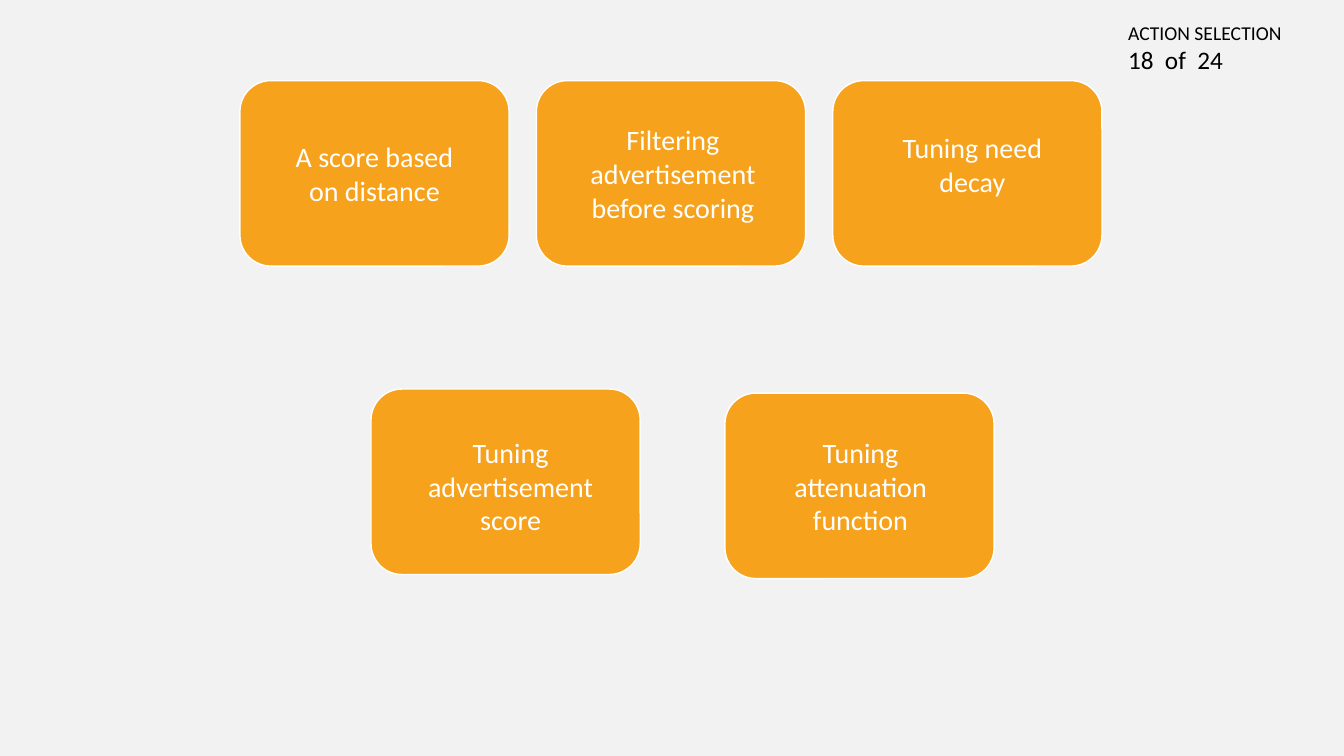
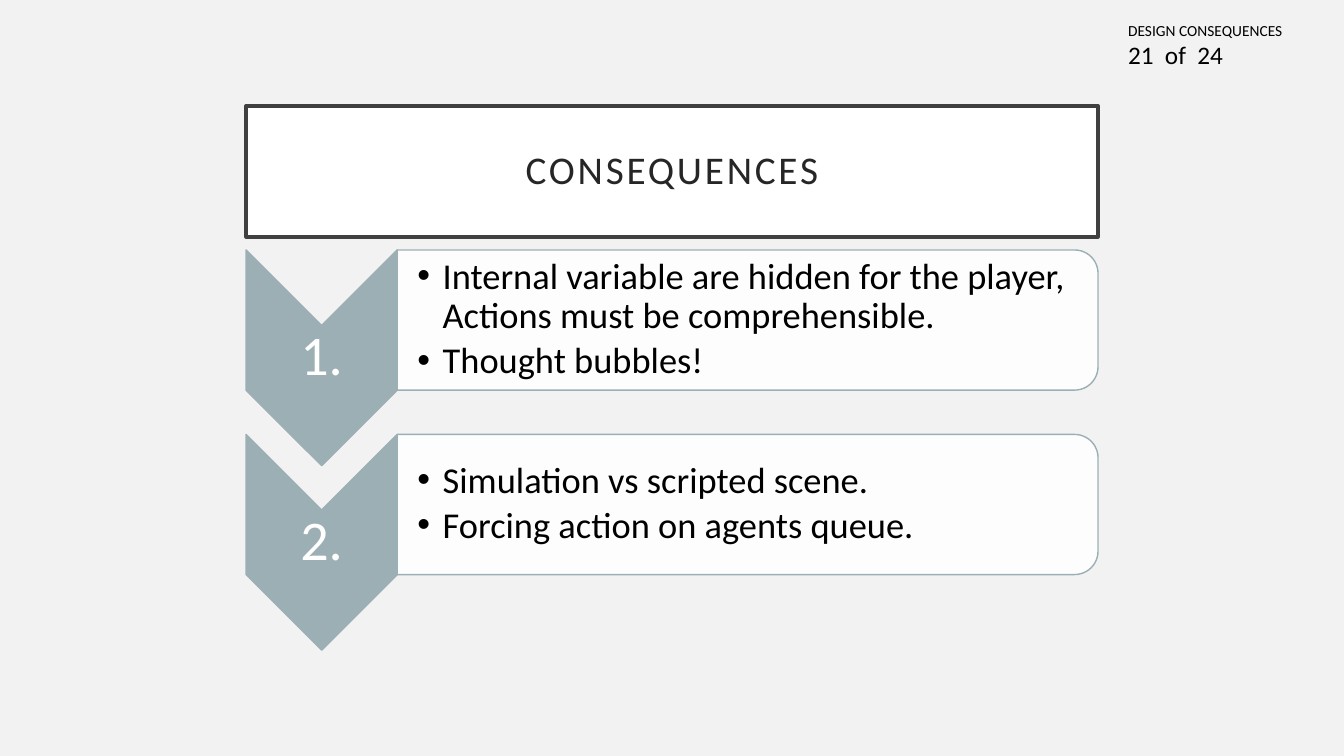
from lxml.etree import SubElement
from pptx import Presentation
from pptx.dml.color import RGBColor
from pptx.enum.shapes import MSO_SHAPE as Shape
from pptx.enum.text import MSO_ANCHOR as Anchor, MSO_AUTO_SIZE as AutoSize, PP_ALIGN as Align
from pptx.oxml.ns import qn
from pptx.util import Inches, Pt

FONT = "Calibri"
BACKGROUND = RGBColor(0xF2, 0xF2, 0xF2)
WHITE = RGBColor(0xFF, 0xFF, 0xFF)
BLACK = RGBColor(0, 0, 0)
ORANGE = RGBColor(0xF6, 0xA2, 0x1D)
SAGE = RGBColor(0x9B, 0xAF, 0xB5)
BORDER = RGBColor(0x40, 0x40, 0x40)
TITLE_INK = RGBColor(0x26, 0x26, 0x26)

SLIDE_COUNT = 24
CARD_W, CARD_H = 2.67, 1.84
CARD_LEFT, CARD_TOP, CARD_PITCH = 2.38, 0.8, 2.94
# text, left, top, shift of the text from the card's centre (x, y)
CARDS = [
    ("A score based on distance", CARD_LEFT, CARD_TOP, 0, 0),
    ("Filtering advertisement before scoring", CARD_LEFT + CARD_PITCH, CARD_TOP, 0.02, 0),
    ("Tuning need decay", CARD_LEFT + 2 * CARD_PITCH, CARD_TOP, 0.05, -0.09),
    ("Tuning advertisement score", 3.68, 3.86, 0.05, 0.04),
    ("Tuning attenuation function", 7.19, 3.9, 0.01, 0),
]

TITLE = "CONSEQUENCES"
STEPS = [
    ("1.", ["Internal variable are hidden for the player, Actions must be comprehensible.",
            "Thought bubbles!"]),
    ("2.", ["Simulation vs scripted scene.", "Forcing action on agents queue."]),
]
LEFT, WIDTH = 2.44, 8.45
STEP_TOP, STEP_PITCH = 2.48, 1.83
CHEVRON_W, CHEVRON_H, PANEL_H = 1.5, 2.14, 1.39


def style(p, size, color, align=Align.LEFT, spacing=None):
    p.alignment = align
    p.line_spacing = spacing
    for r in p.runs:
        r.font.name, r.font.size, r.font.color.rgb = FONT, Pt(size), color


def set_margins(tf, left, top, right, bottom):
    tf.margin_left, tf.margin_top = Inches(left), Inches(top)
    tf.margin_right, tf.margin_bottom = Inches(right), Inches(bottom)


def add_text(s, left, top, width, height):
    tf = s.shapes.add_textbox(*map(Inches, (left, top, width, height))).text_frame
    tf.word_wrap = True
    return tf


def add_box(s, kind, left, top, width, height, fill, line, turned=False):
    """Add a shape that covers the given area, turned by 90 degrees if asked."""
    if turned:
        left, top = left + (width - height) / 2, top + (height - width) / 2
        width, height = height, width
    sp = s.shapes.add_shape(kind, *map(Inches, (left, top, width, height)))
    sp.rotation = 90 if turned else 0
    sp.shadow.inherit = False
    sp.fill.solid()
    sp.fill.fore_color.rgb = fill
    sp.line.color.rgb, sp.line.width = line, Pt(1)
    return sp


def add_bullet(p, indent):
    pPr = p._p.get_or_add_pPr()
    pPr.set("marL", str(Inches(indent)))
    pPr.set("indent", str(-Inches(indent)))
    SubElement(pPr, qn("a:buFont"), typeface="Arial")
    SubElement(pPr, qn("a:buChar"), char="•")


def add_header(s, section, size, number):
    tf = add_text(s, 11.09, 0.16, 2.08, 0.64)
    tf.auto_size = AutoSize.SHAPE_TO_FIT_TEXT
    tf.text = f"{section}\n{number}  of  {SLIDE_COUNT}"
    for p, points in zip(tf.paragraphs, (size, 18)):
        style(p, points, BLACK)


def add_card(s, text, left, top, dx, dy):
    sp = add_box(s, Shape.ROUNDED_RECTANGLE, left, top, CARD_W, CARD_H, ORANGE, WHITE)
    tf = sp.text_frame
    tf.word_wrap, tf.vertical_anchor = True, Anchor.MIDDLE
    set_margins(tf, 0.42 + dx, 0.2 + dy, 0.42 - dx, 0.2 - dy)
    tf.text = text
    style(tf.paragraphs[0], 20, WHITE, Align.CENTER)


def add_title(s, text):
    sp = s.shapes.title
    sp.left, sp.top, sp.width, sp.height = map(Inches, (LEFT, 1.05, WIDTH, 1.3))
    sp.fill.solid()
    sp.fill.fore_color.rgb = WHITE
    sp.line.color.rgb, sp.line.width = BORDER, Pt(2.5)
    tf = sp.text_frame
    tf.vertical_anchor = Anchor.MIDDLE
    set_margins(tf, 0.2, 0.2, 0.2, 0.2)
    tf.text = text
    p = tf.paragraphs[0]
    style(p, 28, TITLE_INK, Align.CENTER, 0.9)
    p.runs[0].font._element.set("spc", "200")


def add_step(s, top, number, bullets):
    add_box(s, Shape.CHEVRON, LEFT, top, CHEVRON_W, CHEVRON_H, SAGE, SAGE, turned=True)
    tf = add_text(s, LEFT, top + CHEVRON_W / 2, CHEVRON_W, CHEVRON_H - CHEVRON_W)
    tf.vertical_anchor = Anchor.MIDDLE
    set_margins(tf, 0.03, 0.03, 0.03, 0.03)
    tf.text = number
    style(tf.paragraphs[0], 40, WHITE, Align.CENTER, 0.9)

    panel_left, panel_w = LEFT + CHEVRON_W, WIDTH - CHEVRON_W
    panel = add_box(s, Shape.ROUND_2_SAME_RECTANGLE, panel_left, top, panel_w, PANEL_H,
                    WHITE, SAGE, turned=True)
    color = panel._element.spPr.find(qn("a:solidFill"))[0]
    SubElement(color, qn("a:alpha"), val="90000")
    tf = add_text(s, panel_left, top + 0.06, panel_w - 0.06, PANEL_H - 0.13)
    tf.vertical_anchor = Anchor.MIDDLE
    set_margins(tf, 0.2, 0.02, 0.02, 0.02)
    tf.text = "\n".join(bullets)
    for p in tf.paragraphs:
        style(p, 26, BLACK, spacing=0.9)
        p.space_after = Pt(4)
        add_bullet(p, 0.25)


def main():
    prs = Presentation()
    prs.slide_width, prs.slide_height = Inches(13.33), Inches(7.5)
    fill = prs.slide_master.background.fill
    fill.solid()
    fill.fore_color.rgb = BACKGROUND
    title_only, blank = prs.slide_layouts[5], prs.slide_layouts[6]

    s = prs.slides.add_slide(blank)
    add_header(s, "ACTION SELECTION", 14, 18)
    for card in CARDS:
        add_card(s, *card)

    s = prs.slides.add_slide(title_only)
    add_title(s, TITLE)
    add_header(s, "DESIGN CONSEQUENCES", 11, 21)
    for i, (number, bullets) in enumerate(STEPS):
        add_step(s, STEP_TOP + i * STEP_PITCH, number, bullets)

    prs.save("out.pptx")


if __name__ == "__main__":
    main()
